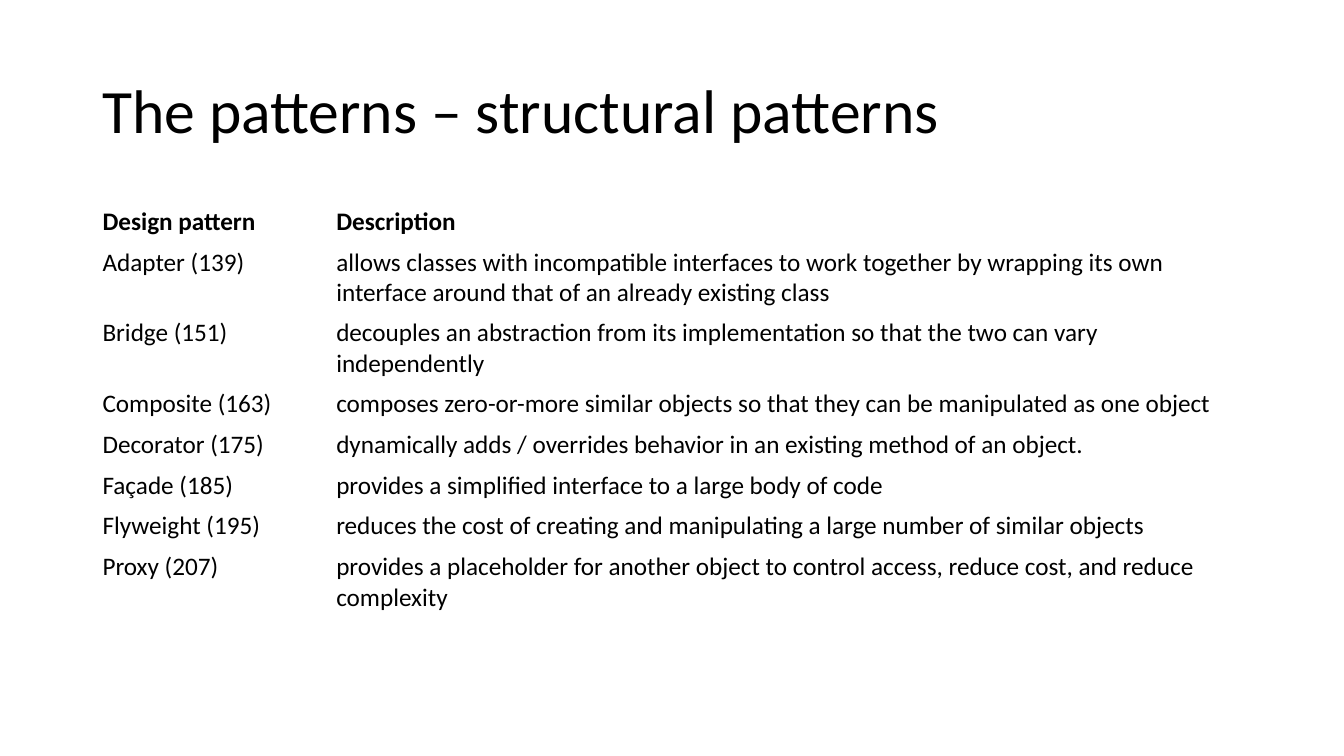
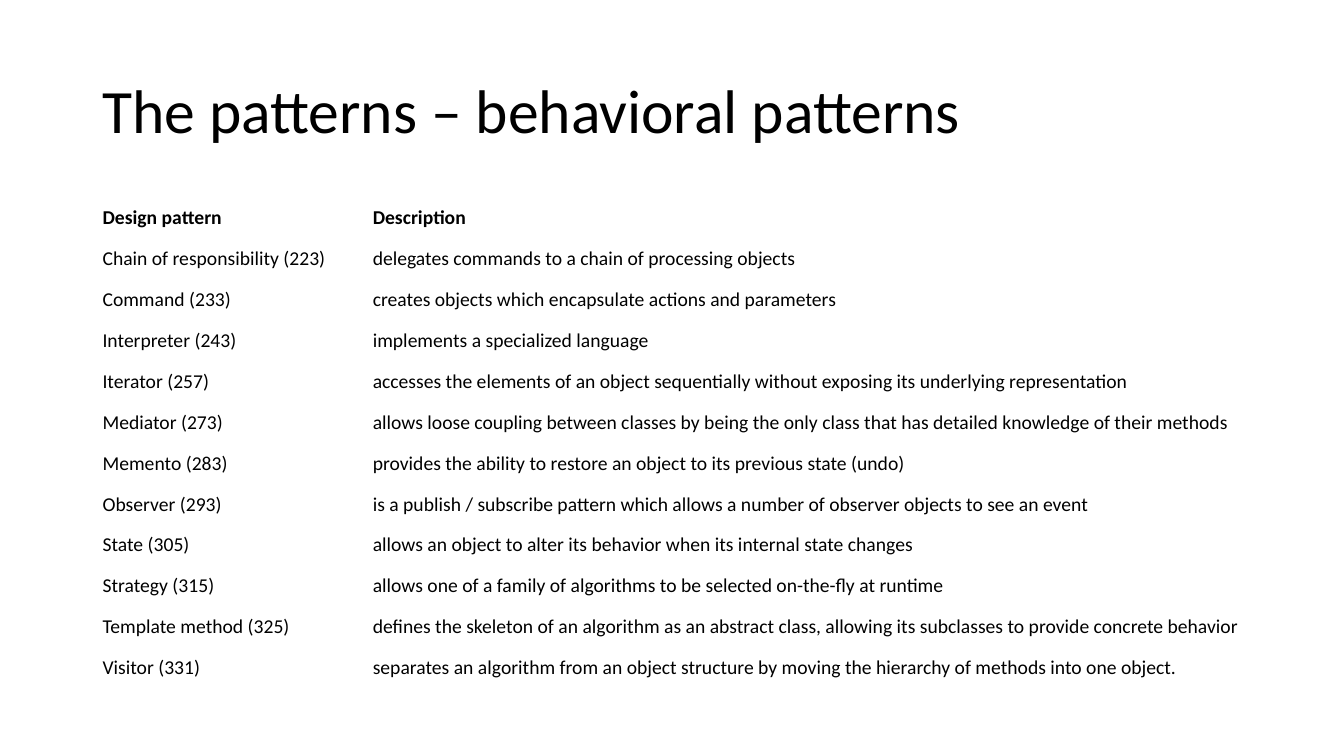
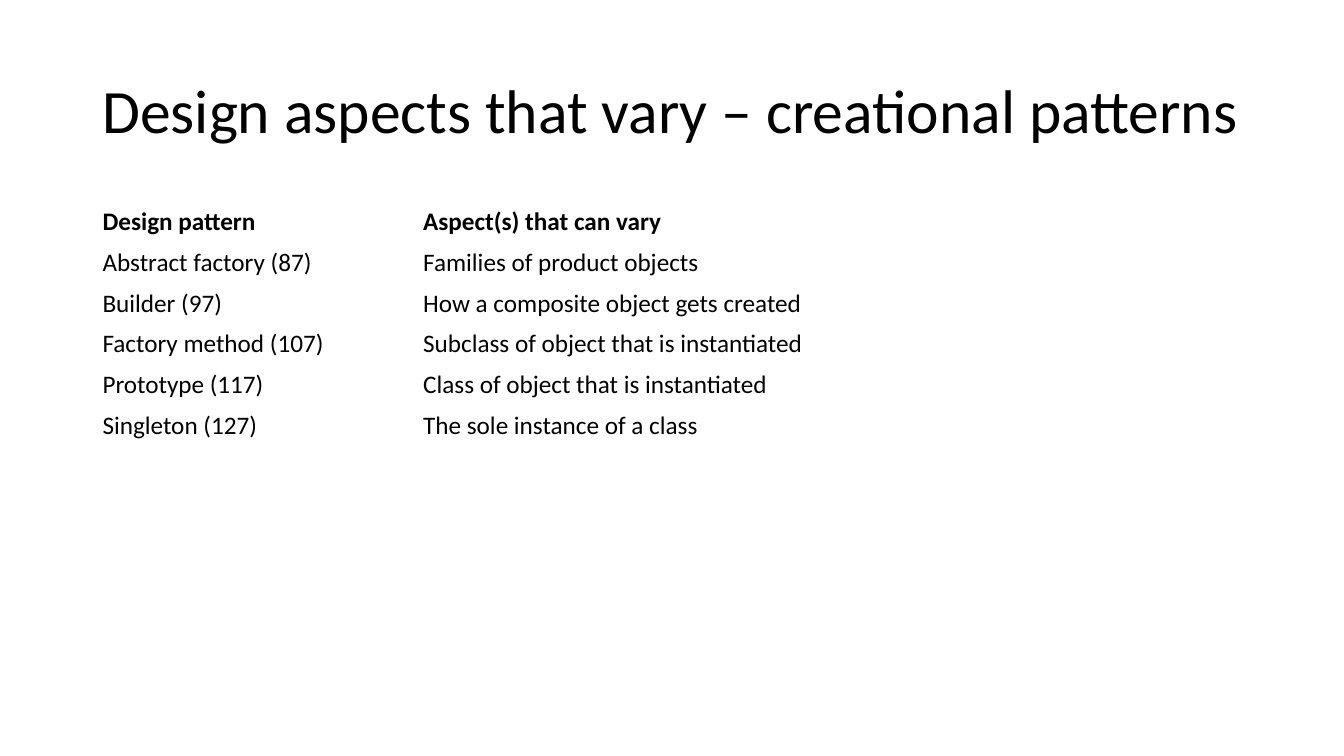
from dataclasses import dataclass

from pptx import Presentation
from pptx.dml.color import RGBColor as RGB
from pptx.enum.text import MSO_ANCHOR as Anchor
from pptx.util import Cm, Pt


@dataclass(frozen=True)
class Theme:
    font: str = "Calibri"
    ink: RGB = RGB(0, 0, 0)
    paper: RGB = RGB(255, 255, 255)
    title: int = 44
    body: int = 18
    small: int = 14
    left: float = 2.33
    width: float = 29.21
    row: float = 1.03


THEME = Theme()

STRUCTURAL = [
    ("Design pattern", "Description"),
    ("Adapter (139)", "allows classes with incompatible interfaces to work together by "
     "wrapping its own interface around that of an already existing class"),
    ("Bridge (151)", "decouples an abstraction from its implementation so that the two "
     "can vary independently"),
    ("Composite (163)", "composes zero-or-more similar objects so that they can be "
     "manipulated as one object"),
    ("Decorator (175)", "dynamically adds / overrides behavior in an existing method of "
     "an object."),
    ("Façade (185)", "provides a simplified interface to a large body of code"),
    ("Flyweight (195)", "reduces the cost of creating and manipulating a large number of "
     "similar objects"),
    ("Proxy (207)", "provides a placeholder for another object to control access, reduce "
     "cost, and reduce complexity"),
]

BEHAVIORAL = [
    ("Design pattern", "Description"),
    ("Chain of responsibility (223)", "delegates commands to a chain of processing objects"),
    ("Command (233)", "creates objects which encapsulate actions and parameters"),
    ("Interpreter (243)", "implements a specialized language"),
    ("Iterator (257)", "accesses the elements of an object sequentially without exposing "
     "its underlying representation"),
    ("Mediator (273)", "allows loose coupling between classes by being the only class "
     "that has detailed knowledge of their methods"),
    ("Memento (283)", "provides the ability to restore an object to its previous state (undo)"),
    ("Observer (293)", "is a publish / subscribe pattern which allows a number of observer "
     "objects to see an event"),
    ("State (305)", "allows an object to alter its behavior when its internal state changes"),
    ("Strategy (315)", "allows one of a family of algorithms to be selected on-the-fly at "
     "runtime"),
    ("Template method (325)", "defines the skeleton of an algorithm as an abstract class, "
     "allowing its subclasses to provide concrete behavior"),
    ("Visitor (331)", "separates an algorithm from an object structure by moving the "
     "hierarchy of methods into one object."),
]

CREATIONAL = [
    ("Design pattern", "Aspect(s) that can vary"),
    ("Abstract factory (87)", "Families of product objects"),
    ("Builder (97)", "How a composite object gets created"),
    ("Factory method (107)", "Subclass of object that is instantiated"),
    ("Prototype (117)", "Class of object that is instantiated"),
    ("Singleton (127)", "The sole instance of a class"),
]


def add_run(para, text, size, bold=False):
    run = para.add_run()
    run.text = text
    font = run.font
    font.name, font.size, font.bold = THEME.font, Pt(size), bold
    font.color.rgb = THEME.ink


def add_title(slide, text):
    box = slide.shapes.add_textbox(Cm(THEME.left), Cm(1.01), Cm(THEME.width), Cm(3.68))
    frame = box.text_frame
    frame.word_wrap = True
    frame.vertical_anchor = Anchor.MIDDLE
    para = frame.paragraphs[0]
    para.line_spacing = 0.9
    add_run(para, text, THEME.title)


def add_grid(slide, rows, first, size):
    """Draw a plain two-column table whose first column is `first` cm wide."""
    table = slide.shapes.add_table(
        len(rows), 2, Cm(THEME.left), Cm(5.07),
        Cm(THEME.width), Cm(THEME.row * len(rows))).table
    table.horz_banding = False
    for col, width in zip(table.columns, (first, THEME.width - first)):
        col.width = Cm(width)
    for i, texts in enumerate(rows):
        table.rows[i].height = Cm(THEME.row)
        for cell, text in zip(table.rows[i].cells, texts):
            cell.fill.background()
            add_run(cell.text_frame.paragraphs[0], text, size, bold=i == 0)


def add_page(deck, title, rows, first, size=THEME.body):
    slide = deck.slides.add_slide(deck.slide_layouts[6])
    fill = slide.background.fill
    fill.solid()
    fill.fore_color.rgb = THEME.paper
    add_title(slide, title)
    add_grid(slide, rows, first, size)


def main():
    deck = Presentation()
    deck.slide_width, deck.slide_height = Cm(33.87), Cm(19.05)
    add_page(deck, "The patterns – structural patterns", STRUCTURAL, 5.89)
    add_page(deck, "The patterns – behavioral patterns", BEHAVIORAL, 6.81, THEME.small)
    add_page(deck, "Design aspects that vary – creational patterns", CREATIONAL, 8.08)
    deck.save("out.pptx")


if __name__ == "__main__":
    main()
